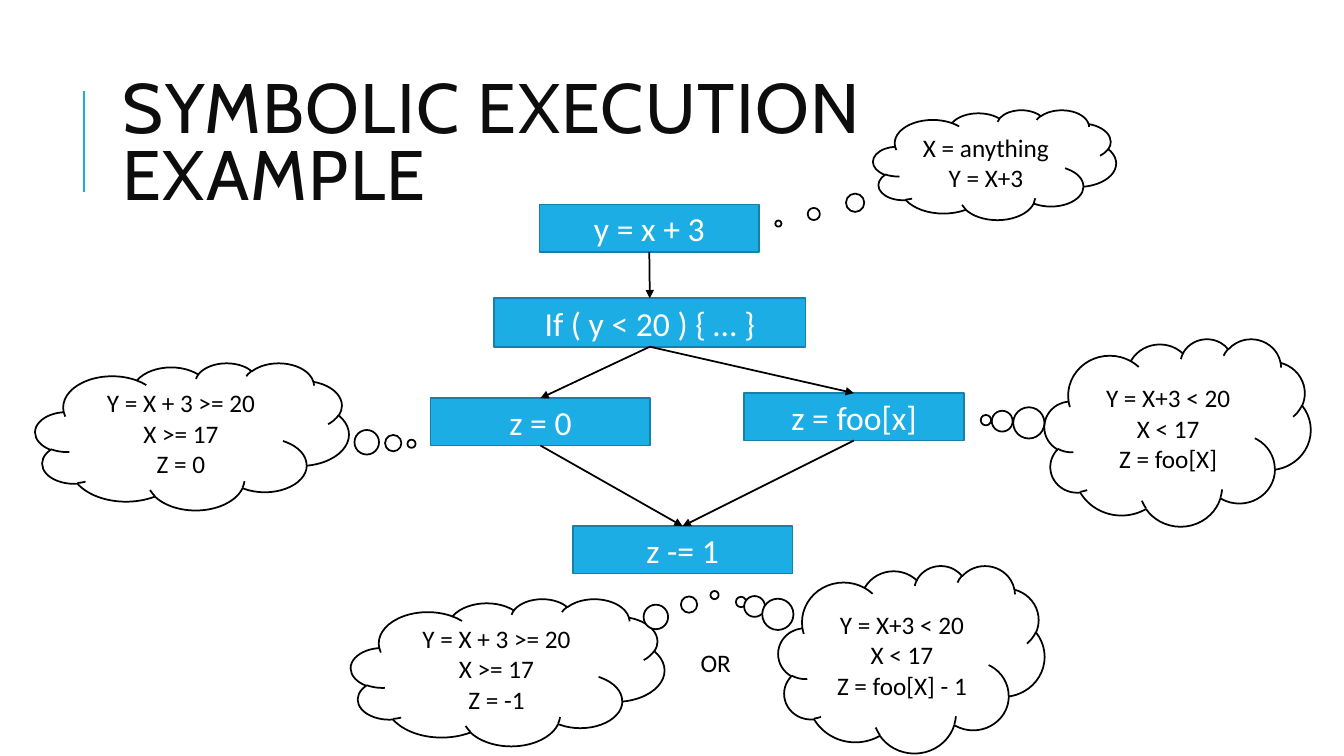
from pptx import Presentation, util as u
from pptx.dml.color import RGBColor
from pptx.enum import shapes, text
from pptx.oxml.ns import qn
from lxml import etree

BLUE = RGBColor(0x1C, 0xAD, 0xE4)
DARK_BLUE = RGBColor(0x15, 0x80, 0xA9)
WHITE = RGBColor(0xFF, 0xFF, 0xFF)
BLACK = RGBColor(0, 0, 0)
TITLE_COLOR = RGBColor(0x0D, 0x0D, 0x0D)
TOP, BOTTOM = 0, 2  # connection sites of a rectangle

deck = Presentation()
deck.slide_width, deck.slide_height = u.Inches(13.33), u.Inches(7.5)
slide = deck.slides.add_slide(deck.slide_layouts[6])


def write(shape, content, size, color, font="Calibri", align=text.PP_ALIGN.CENTER):
    frame = shape.text_frame
    frame.text = content
    for paragraph in frame.paragraphs:
        paragraph.alignment = align
        for run in paragraph.runs:
            run.font.name, run.font.size = font, u.Pt(size)
            run.font.color.rgb = color


def add_block(preset, box, content, size, fill, line, color):
    block = slide.shapes.add_shape(preset, *map(u.Inches, box))
    block.shadow.inherit = False
    block.fill.solid()
    block.fill.fore_color.rgb = fill
    block.line.color.rgb = line
    block.line.width = u.Pt(1.25)
    write(block, content, size, color)
    return block


# Title with its accent rule
accent = slide.shapes.add_connector(
    shapes.MSO_CONNECTOR.STRAIGHT, *map(u.Inches, (0.83, 1.9, 0.83, 0.9)))
accent.line.color.rgb = BLUE
accent.line.width = u.Pt(1.5)
etree.SubElement(accent._element.spPr, qn("a:effectLst"))

title = slide.shapes.add_textbox(*map(u.Inches, (1.12, 0.64, 10.63, 1.64)))
title.text_frame.word_wrap = True
title.text_frame.vertical_anchor = text.MSO_ANCHOR.MIDDLE
write(title, "SYMBOLIC EXECUTION EXAMPLE", 50, TITLE_COLOR, "Cabin", text.PP_ALIGN.LEFT)
heading = title.text_frame.paragraphs[0]
heading.line_spacing = 0.8
heading.runs[0].font._element.set("spc", "100")

# Program statements: left, top, width, height, code
statements = {
    "assign": (5.35, 2.03, 2.18, 0.47, "y = x + 3"),
    "branch": (4.9, 2.96, 3.09, 0.48, "If ( y < 20 ) { … }"),
    "then": (7.38, 3.9, 2.18, 0.47, "z = foo[x]"),
    "else": (4.27, 3.95, 2.18, 0.47, "z = 0"),
    "join": (5.68, 5.22, 2.18, 0.47, "z -= 1"),
}
nodes = {
    name: add_block(shapes.MSO_SHAPE.RECTANGLE, box, code, 24, BLUE, DARK_BLUE, WHITE)
    for name, (*box, code) in statements.items()
}

# Control flow
for source, target in (("assign", "branch"), ("branch", "else"), ("branch", "then"),
                       ("then", "join"), ("else", "join")):
    flow = slide.shapes.add_connector(shapes.MSO_CONNECTOR.STRAIGHT, 0, 0, 0, 0)
    flow.begin_connect(nodes[source], BOTTOM)
    flow.end_connect(nodes[target], TOP)
    flow.line.color.rgb = BLACK
    flow.line.width = u.Pt(1.25)
    etree.SubElement(flow.line._get_or_add_ln(), qn("a:tailEnd"), type="triangle")
    etree.SubElement(flow._element.spPr, qn("a:effectLst"))

# Symbolic states: box, offset of the thought's tail, constraints
WIDE, TALL = (3.11, 1.46), (2.64, 1.86)
states = (
    ((8.66, 1.09, 2.41, 1.09), (-0.89, 0.535), "X = anything\nY = X+3"),
    ((10.36, 3.36, *TALL), (-0.72, -0.065), "Y = X+3 < 20\nX < 17\nZ = foo[X]"),
    ((0.35, 3.6, *WIDE), (0.7, 0.05), "Y = X + 3 >= 20\nX >= 17\nZ = 0"),
    ((3.48, 5.94, *WIDE), (0.66, -0.525), "Y = X + 3 >= 20\nX >= 17\nZ = -1"),
    ((7.72, 5.61, *TALL), (-0.64, -0.305), "Y = X+3 < 20\nX < 17\nZ = foo[X] - 1"),
)
for box, tail, constraints in states:
    thought = add_block(shapes.MSO_SHAPE.CLOUD_CALLOUT, box, constraints, 18,
                        WHITE, BLACK, BLACK)
    thought.adjustments[0], thought.adjustments[1] = tail

either = slide.shapes.add_textbox(*map(u.Inches, (6.85, 6.37, 0.52, 0.4)))
either.text_frame.word_wrap = False
write(either, "OR", 18, BLACK, align=text.PP_ALIGN.LEFT)

deck.save("out.pptx")
